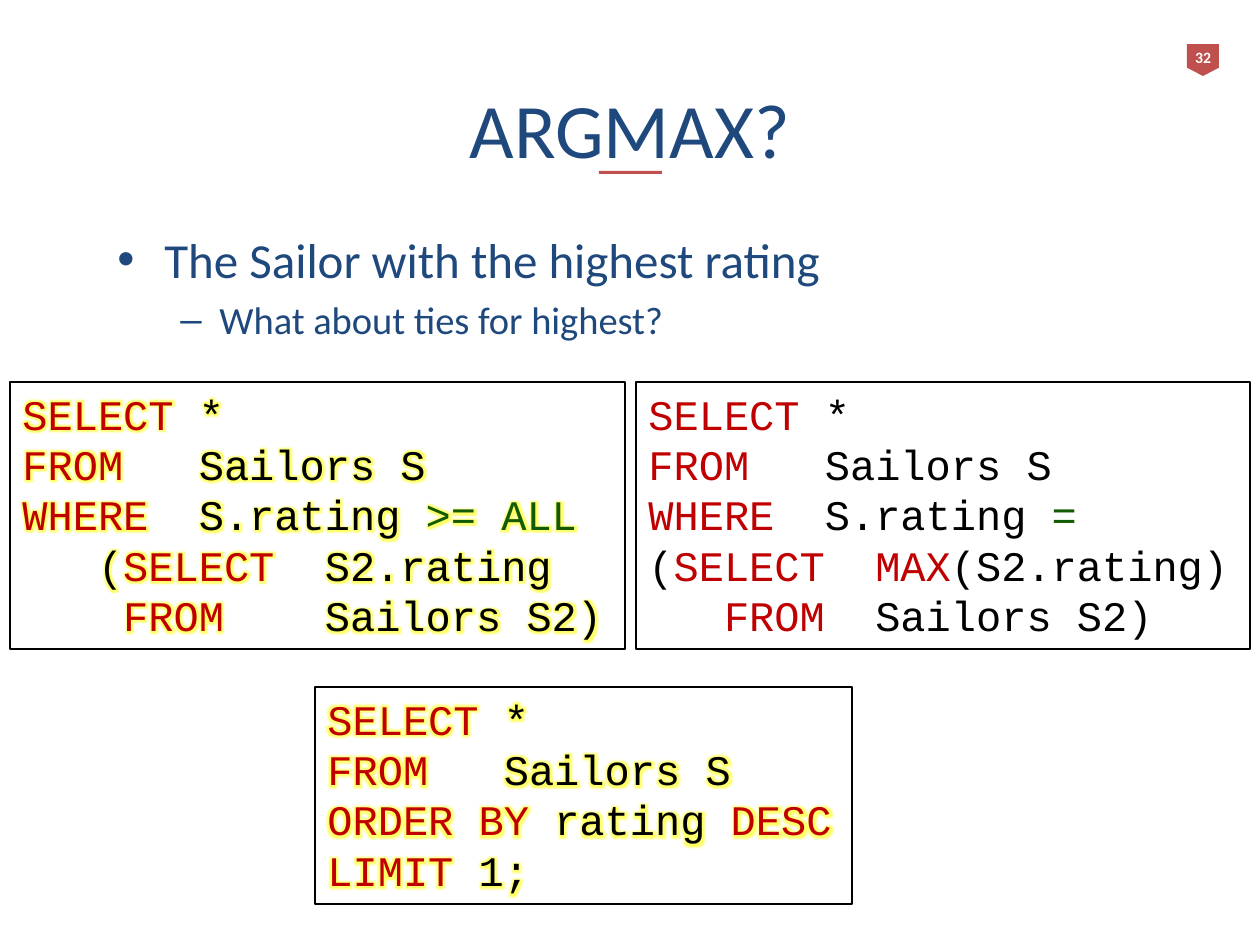
import pptx
import pptx.util
import pptx.dml.color
import pptx.enum.shapes
import pptx.enum.text
import pptx.oxml
import pptx.oxml.ns

SCALE = 914400 / 126
COLORS = {"red": "C0504D", "navy": "1F497D", "white": "FFFFFF",
          "key": "C00000", "code": "000000", "op": "135B02", "glow": "FFFF00"}
SHAPE = pptx.enum.shapes.MSO_SHAPE
ALIGN = pptx.enum.text.PP_ALIGN
ANCHOR = pptx.enum.text.MSO_ANCHOR
GROW = pptx.enum.text.MSO_AUTO_SIZE.SHAPE_TO_FIT_TEXT

# Pieces between bars alternate keyword and plain; ~ marks an operator.
ALL = ["SELECT| *", "FROM|   Sailors S", "WHERE  |S.rating |~>= ALL",
       "|   (|SELECT|  S2.rating", "    FROM  |  Sailors S2)"]
MAX = ["SELECT| *", "FROM   |Sailors S", "WHERE  |S.rating |~= ",
       "|(|SELECT  MAX|(S2.rating)", "   FROM  |Sailors S2)"]
LIMIT = ["SELECT |*", "FROM|   Sailors S", "ORDER BY| rating |DESC",
         "LIMIT |1;"]


def px(n):
    return pptx.util.Emu(round(n * SCALE))


def rgb(name):
    return pptx.dml.color.RGBColor.from_string(COLORS[name])


def xml(text):
    space = pptx.oxml.ns.nsdecls("a")
    return pptx.oxml.parse_xml(text.replace(" ", f" {space} ", 1))


class Deck:
    def __init__(self, wide, high):
        self.show = pptx.Presentation()
        self.show.slide_width, self.show.slide_height = px(wide), px(high)
        self.slide = self.show.slides.add_slide(self.show.slide_layouts[5])
        self.shapes = self.slide.shapes

    def font(self, run, size, color, face="Calibri", bold=False):
        run.font.name, run.font.size = face, pptx.util.Pt(size)
        run.font.color.rgb = rgb(color)
        run.font.bold = bold

    def title(self, text, *box):
        item = self.shapes.title
        item.left, item.top, item.width, item.height = map(px, box)
        frame = item.text_frame
        frame.text = text
        frame.vertical_anchor = ANCHOR.MIDDLE
        frame.auto_size = GROW
        frame.paragraphs[0].alignment = ALIGN.CENTER
        self.font(frame.paragraphs[0].runs[0], 44, "navy")

    def shape(self, kind, box, fill=None):
        item = self.shapes.add_shape(kind, *map(px, box))
        item.shadow.inherit = False
        if fill:
            item.fill.solid()
            item.fill.fore_color.rgb = rgb(fill)
        else:
            item.fill.background()
        item.line.fill.background()
        return item

    def badge(self, text):
        flag = self.shape(SHAPE.PENTAGON, (1187, 44, 32, 32), "red")
        flag.rotation = 90
        flag.adjustments[0] = 0.26
        label = self.shapes.add_textbox(*map(px, (1182, 42, 42, 32)))
        frame = label.text_frame
        frame.text = text
        frame.word_wrap = False
        frame.auto_size = GROW
        frame.paragraphs[0].alignment = ALIGN.CENTER
        self.font(frame.paragraphs[0].runs[0], 9, "white", bold=True)
        self.shapes.add_group_shape([flag, label])

    def list(self, rows, *box):
        """Add bullets from rows of text, level, size, mark, margin, hang."""
        frame = self.shapes.add_textbox(*map(px, box)).text_frame
        frame.word_wrap = True
        frame.text = "\n".join(row[0] for row in rows)
        for para, row in zip(frame.paragraphs, rows):
            text, level, size, mark, margin, hang = row
            para.level = level
            self.font(para.runs[0], size, "navy")
            props = para._p.get_or_add_pPr()
            props.set("marL", str(px(margin)))
            props.set("indent", str(-px(hang)))
            props.append(xml('<a:spcBef ><a:spcPct val="20000"/></a:spcBef>'))
            props.append(xml('<a:buFont typeface="Arial"/>'))
            props.append(xml(f'<a:buChar char="{mark}"/>'))

    def glow(self, run):
        fill = run._r.get_or_add_rPr().find(pptx.oxml.ns.qn("a:solidFill"))
        fill.addnext(xml(
            '<a:effectLst ><a:glow rad="101600">'
            f'<a:srgbClr val="{COLORS["glow"]}"><a:alpha val="60000"/>'
            '</a:srgbClr></a:glow></a:effectLst>'))

    def code(self, lines, box, lit=False):
        item = self.shape(SHAPE.RECTANGLE, box)
        item.line.color.rgb = rgb("code")
        item.line.width = pptx.util.Pt(0.75)
        frame = item.text_frame
        frame.word_wrap = False
        frame.auto_size = GROW
        frame.vertical_anchor = ANCHOR.TOP
        for n, line in enumerate(lines):
            para = frame.add_paragraph() if n else frame.paragraphs[0]
            para.alignment = ALIGN.LEFT
            for k, part in enumerate(line.split("|")):
                if not part:
                    continue
                color = "code" if k % 2 else "key"
                if part[0] == "~":
                    color, part = "op", part[1:]
                run = para.add_run()
                run.text = part
                self.font(run, 24, color, "Courier New")
                if lit:
                    self.glow(run)


def main():
    deck = Deck(1260, 945)
    deck.badge("32")
    deck.title("ARGMAX?", 63, 92, 1134, 72)
    deck.shape(SHAPE.RECTANGLE, (599, 171, 63, 3), "red")
    deck.list([("The Sailor with the highest rating", 0, 28, "•", 47, 47),
               ("What about ties for highest?", 1, 22, "–", 102, 39)],
              105, 223, 1052, 606)
    deck.code(ALL, (10, 382, 615, 267), lit=True)
    deck.code(MAX, (636, 382, 614, 267))
    deck.code(LIMIT, (315, 687, 537, 217), lit=True)
    deck.show.save("out.pptx")


if __name__ == "__main__":
    main()
